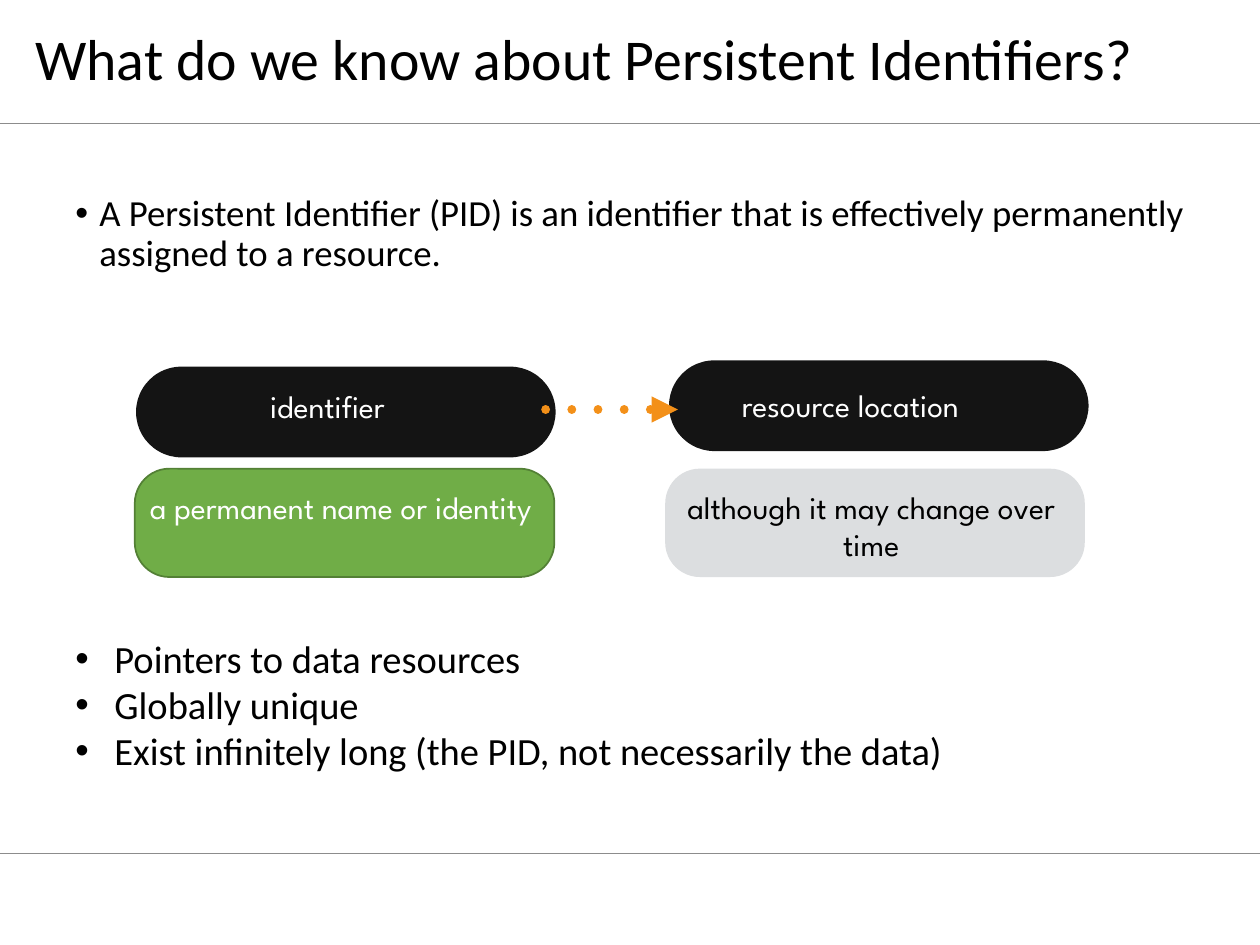
from lxml import etree
from pptx import Presentation
from pptx import util as u
from pptx.dml.color import RGBColor
from pptx.enum import shapes, text
from pptx.oxml import ns

BLACK = RGBColor(0x00, 0x00, 0x00)
WHITE = RGBColor(0xFF, 0xFF, 0xFF)
CHARCOAL = RGBColor(0x14, 0x14, 0x14)
GREEN = RGBColor(0x70, 0xAD, 0x47)
DARK_GREEN = RGBColor(0x53, 0x80, 0x35)
LIGHT_GREY = RGBColor(0xDC, 0xDE, 0xE0)
RULE_GREY = RGBColor(0x8C, 0x8C, 0x8C)
ORANGE = RGBColor(0xF3, 0x90, 0x19)

BODY_FONT = "Calibri"
LABEL_FONT = "League Spartan"


def add_xml(parent, tag, **attrs):
    return etree.SubElement(parent, ns.qn(tag), attrs)


class SlideBuilder:
    def __init__(self, slide):
        self.s = slide

    def format_text(self, tf, size, font, color, align=text.PP_ALIGN.LEFT):
        for p in tf.paragraphs:
            p.alignment = align
            for r in p.runs:
                r.font.size = u.Pt(size)
                r.font.name = font
                r.font.color.rgb = color

    def title(self, words, box):
        sp = self.s.shapes.title
        sp.left, sp.top, sp.width, sp.height = map(u.Inches, box)
        tf = sp.text_frame
        tf.text = words
        tf.auto_size = text.MSO_AUTO_SIZE.NONE
        tf.vertical_anchor = text.MSO_ANCHOR.MIDDLE
        tf.paragraphs[0].line_spacing = 0.9
        self.format_text(tf, 33, BODY_FONT, BLACK)

    def bullets(self, items, box, size, indent, spacing=1.0, before=0):
        tf = self.s.shapes.add_textbox(*map(u.Inches, box)).text_frame
        tf.word_wrap = True
        tf.text = "\n".join(items)
        for p in tf.paragraphs:
            p.line_spacing = spacing
            p.space_before = u.Pt(before)
            pPr = p._p.get_or_add_pPr()
            pPr.set("marL", str(u.Inches(indent)))
            pPr.set("indent", str(-u.Inches(indent)))
            add_xml(pPr, "a:buFont", typeface="Arial")
            add_xml(pPr, "a:buChar", char="•")
        self.format_text(tf, size, BODY_FONT, BLACK)

    def pill(self, box, rounding, fill, outline=None):
        sp = self.s.shapes.add_shape(
            shapes.MSO_SHAPE.ROUNDED_RECTANGLE, *map(u.Inches, box))
        sp.adjustments[0] = rounding
        sp.shadow.inherit = False
        sp.fill.solid()
        sp.fill.fore_color.rgb = fill
        if outline is None:
            sp.line.fill.background()
        else:
            sp.line.color.rgb = outline
            sp.line.width = u.Pt(1)

    def label(self, words, box, color, wrap):
        tf = self.s.shapes.add_textbox(*map(u.Inches, box)).text_frame
        tf.margin_left = tf.margin_right = u.Inches(0.04)
        tf.margin_top = tf.margin_bottom = u.Inches(0.04)
        tf.word_wrap = wrap
        tf.text = words
        self.format_text(tf, 18, LABEL_FONT, color, text.PP_ALIGN.CENTER)

    def line(self, x1, x2, y, color, width):
        c = self.s.shapes.add_connector(
            shapes.MSO_CONNECTOR.STRAIGHT, *map(u.Inches, (x1, y, x2, y)))
        c.line.color.rgb = color
        c.line.width = u.Pt(width)
        add_xml(c._element.spPr, "a:effectLst")
        return c

    def dotted_arrow(self, x1, x2, y, color, width):
        ln = self.line(x1, x2, y, color, width).line._get_or_add_ln()
        ln.set("cap", "rnd")
        dash = add_xml(ln, "a:custDash")
        add_xml(dash, "a:ds", d="100000", sp="200000")
        add_xml(ln, "a:round")
        add_xml(ln, "a:tailEnd", type="triangle")


def main():
    prs = Presentation()
    prs.slide_width, prs.slide_height = u.Inches(10), u.Inches(7.5)
    b = SlideBuilder(prs.slides.add_slide(prs.slide_layouts[5]))

    # Header and footer rules
    for y in (6.77, 0.98):
        b.line(0, 10, y, RULE_GREY, 0.5)

    # Title and definition
    b.title("What do we know about Persistent Identifiers?",
            (0.18, 0.05, 9.14, 0.88))
    b.bullets(["A Persistent Identifier (PID) is an identifier that is "
               "effectively permanently assigned to a resource."],
              (0.5, 1.5, 9, 1.33), 21, 0.19, spacing=0.9, before=7.5)

    # Identifier and resource: dark heading pills
    for words, x, y, label_box in (
            ("identifier", 1.08, 2.91, (2, 3.03, 1.2, 0.39)),
            ("resource location", 5.31, 2.86, (5.57, 3.02, 2.36, 0.39))):
        b.pill((x, y, 3.33, 0.72), 0.5, CHARCOAL)
        b.label(words, label_box, WHITE, wrap=False)

    # Explanations below them
    for words, x, fill, outline, color in (
            ("a permanent name or identity", 1.07, GREEN, DARK_GREEN, WHITE),
            ("although it may change over time", 5.28, LIGHT_GREY, None, BLACK)):
        b.pill((x, 3.72, 3.33, 0.86), 0.32, fill, outline)
        b.label(words, (x + 0.05, 3.83, 3.17, 0.69), color, wrap=True)

    # Identifier points to the resource
    b.dotted_arrow(4.33, 5.38, 3.25, ORANGE, 5)

    # Properties
    b.bullets(["Pointers to data resources",
               "Globally unique",
               "Exist infinitely long (the PID, not necessarily the data)"],
              (0.5, 4.99, 8.92, 1.51), 22, 0.31)

    prs.save("out.pptx")


if __name__ == "__main__":
    main()
